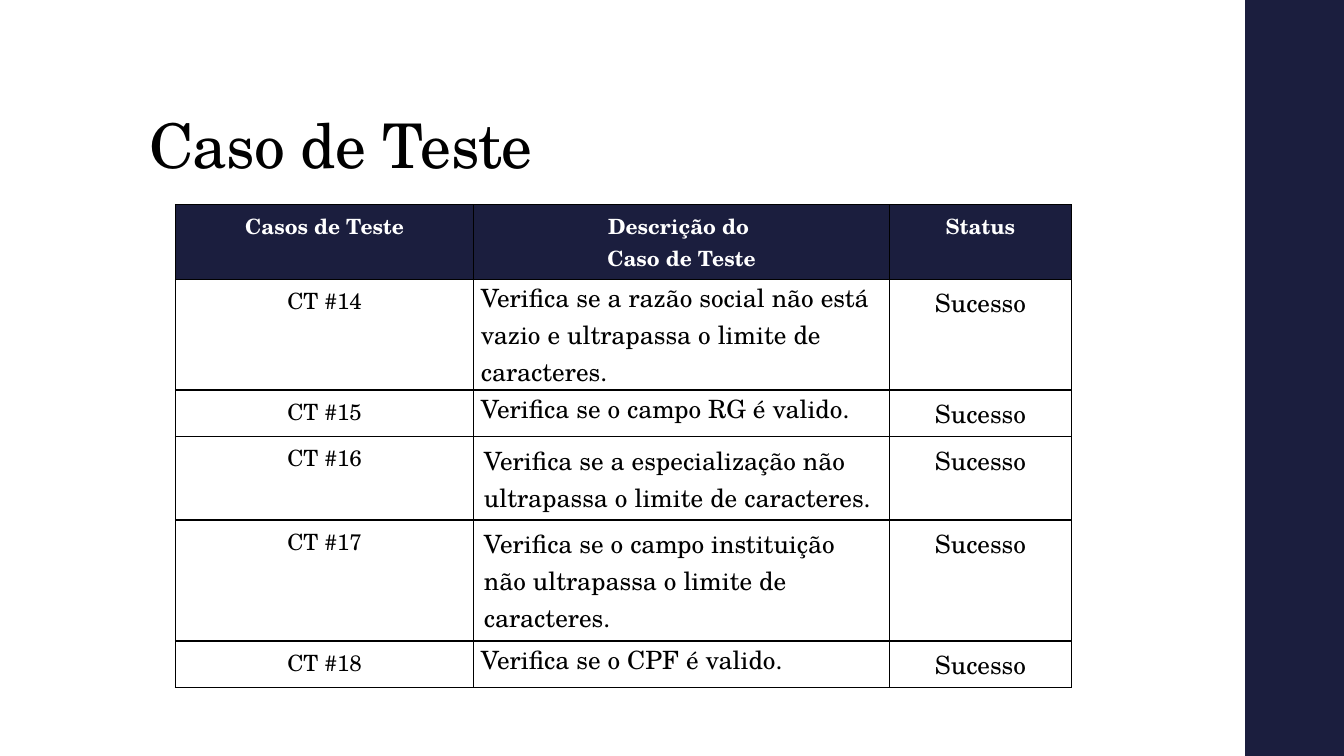
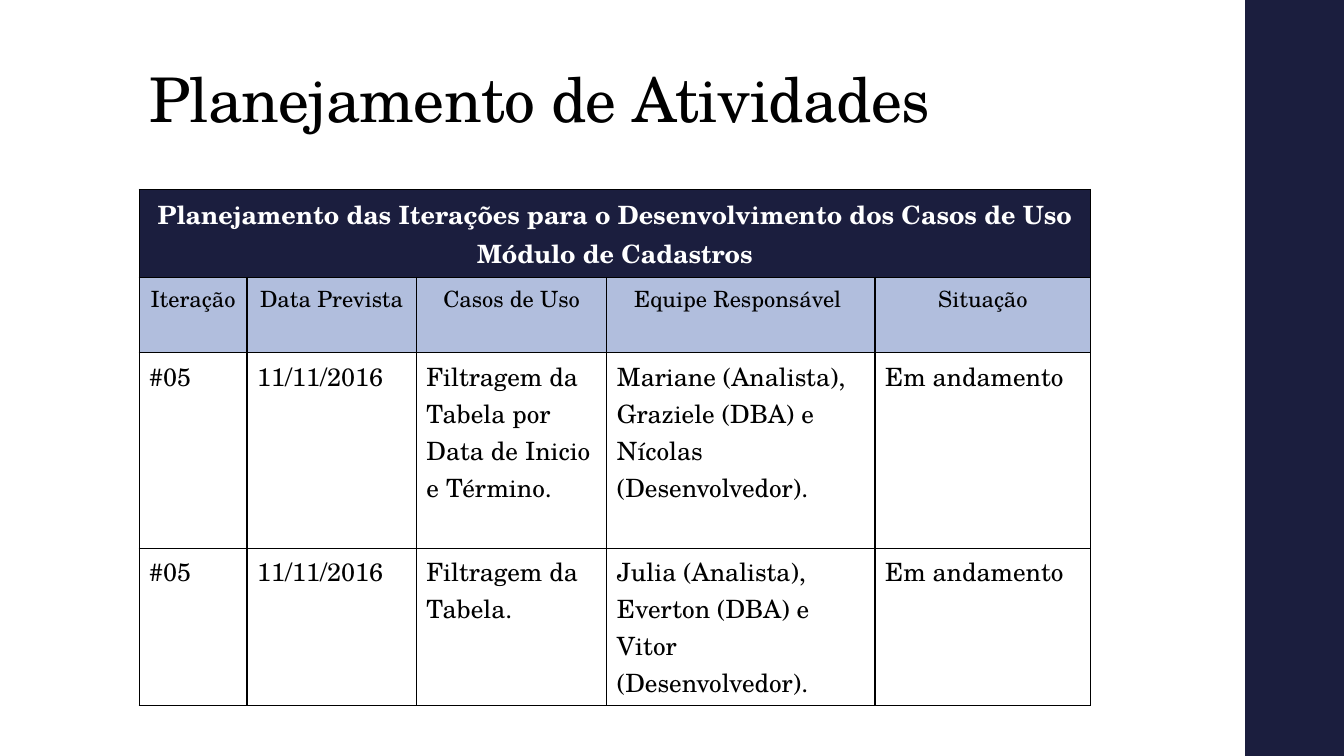
import pptx
import pptx.dml.color
import pptx.enum.shapes
import pptx.enum.text
import pptx.oxml
import pptx.oxml.ns
import pptx.util

Inches, Pt = pptx.util.Inches, pptx.util.Pt
ALIGN = pptx.enum.text.PP_ALIGN
FONT = "TeX Gyre Schola"
COLORS = {"navy": "1B1E3E", "light": "B1BEDD", "white": "FFFFFF", "black": "000000"}
SLIDE_W, SLIDE_H, BAND_X = 13.33, 7.5, 12.35

# Content
TEST_HEADER = ["Casos de Teste", "Descrição do \nCaso de Teste", "Status"]
# Number, description, whether the description sits tight in its cell
TESTS = [
    (14, "Verifica se a razão social não está vazio e ultrapassa o limite de caracteres.", True),
    (15, "Verifica se o campo RG é valido.", True),
    (16, "Verifica se a especialização não ultrapassa o limite de caracteres.", False),
    (17, "Verifica se o campo instituição não ultrapassa o limite de caracteres.", False),
    (18, "Verifica se o CPF é valido.", True),
]
PLAN_TITLE = ("Planejamento das Iterações para o Desenvolvimento dos Casos de Uso\n"
              "Módulo de Cadastros")
PLAN_HEADER = ["Iteração", "Data Prevista", "Casos de Uso", "Equipe Responsável ", "Situação"]
PLAN = [
    ["#05", "11/11/2016", "Filtragem da Tabela por Data de Inicio e Término.",
     "Mariane (Analista), Graziele (DBA) e Nícolas (Desenvolvedor).", "Em andamento"],
    ["#05", "11/11/2016", "Filtragem da Tabela.",
     "Julia (Analista), Everton (DBA) e Vitor (Desenvolvedor).", "Em andamento"],
]


def rgb(name):
    return pptx.dml.color.RGBColor.from_string(COLORS[name])


def write(tf, text, size=18, color="black", bold=False, align=ALIGN.LEFT,
          line_spacing=None, tracking=None):
    """Write text into a frame, one paragraph per line."""
    tf.word_wrap = True
    for i, line in enumerate(text.split("\n")):
        p = tf.add_paragraph() if i else tf.paragraphs[0]
        p.alignment = align
        if line_spacing:
            p.line_spacing = line_spacing
        r = p.add_run()
        r.text = line
        r.font.name, r.font.size, r.font.bold = FONT, Pt(size), bold
        r.font.color.rgb = rgb(color)
        if tracking:
            r.font._element.set("spc", str(int(tracking * 100)))


def add_borders(cell):
    tcPr = cell._tc.get_or_add_tcPr()
    for i, side in enumerate(("lnL", "lnR", "lnT", "lnB")):
        tcPr.insert(i, pptx.oxml.parse_xml(
            f'<a:{side} {pptx.oxml.ns.nsdecls("a")} w="{Pt(1)}"><a:solidFill>'
            f'<a:srgbClr val="{COLORS["black"]}"/></a:solidFill></a:{side}>'))


def fill_cell(cell, text, fill="white", tight=False, **fmt):
    cell.fill.solid()
    cell.fill.fore_color.rgb = rgb(fill)
    if tight:
        cell.margin_left = cell.margin_right = Inches(0.07)
        cell.margin_top = cell.margin_bottom = 0
    write(cell.text_frame, text, **fmt)


def add_table(slide, left, top, cols, rows):
    """Add a bordered table with the given column widths and row heights."""
    table = slide.shapes.add_table(len(rows), len(cols), Inches(left), Inches(top),
                                   Inches(sum(cols)), Inches(sum(rows))).table
    table.horz_banding = False
    for col, width in zip(table.columns, cols):
        col.width = Inches(width)
    for row, height in zip(table.rows, rows):
        row.height = Inches(height)
    for cell in table.iter_cells():
        add_borders(cell)
    return table


def add_slide(prs, title, title_height):
    """Add a slide with the side band and the title."""
    slide = prs.slides.add_slide(prs.slide_layouts[6])
    band = slide.shapes.add_shape(pptx.enum.shapes.MSO_SHAPE.RECTANGLE, Inches(BAND_X), 0,
                                  Inches(SLIDE_W - BAND_X), Inches(SLIDE_H))
    band.shadow.inherit = False
    band.fill.solid()
    band.fill.fore_color.rgb = rgb("navy")
    band.line.fill.background()
    tf = slide.shapes.add_textbox(Inches(1.38), Inches(0.4), Inches(10.6),
                                  Inches(title_height)).text_frame
    tf.vertical_anchor = pptx.enum.text.MSO_ANCHOR.BOTTOM
    write(tf, title, size=44, line_spacing=0.9, tracking=-0.5)
    return slide


def build_tests(prs):
    slide = add_slide(prs, "Caso de Teste", 1.45)
    table = add_table(slide, 1.74, 2.03, [2.96, 4.12, 1.81],
                      [0.74, 1.1, 0.46, 0.83, 1.2, 0.46])
    for c, text in enumerate(TEST_HEADER):
        fill_cell(table.cell(0, c), text, fill="navy", size=15, color="white",
                  bold=True, align=ALIGN.CENTER)
    for r, (number, description, tight) in enumerate(TESTS, 1):
        fill_cell(table.cell(r, 0), f"CT #{number}", size=16, align=ALIGN.CENTER)
        fill_cell(table.cell(r, 1), description, tight=tight)
        fill_cell(table.cell(r, 2), "Sucesso", align=ALIGN.CENTER)


def build_plan(prs):
    slide = add_slide(prs, "Planejamento de Atividades", 1)
    table = add_table(slide, 1.38, 1.88, [1.07, 1.68, 1.89, 2.66, 2.14],
                      [0.87, 0.75, 1.94, 1.56])
    table.cell(0, 0).merge(table.cell(0, len(PLAN_HEADER) - 1))
    fill_cell(table.cell(0, 0), PLAN_TITLE, fill="navy", color="white", bold=True,
              align=ALIGN.CENTER)
    for c, text in enumerate(PLAN_HEADER):
        fill_cell(table.cell(1, c), text, fill="light", size=16, align=ALIGN.CENTER)
    for r, row in enumerate(PLAN, 2):
        for c, text in enumerate(row):
            fill_cell(table.cell(r, c), text)


def main():
    prs = pptx.Presentation()
    prs.slide_width, prs.slide_height = Inches(SLIDE_W), Inches(SLIDE_H)
    build_tests(prs)
    build_plan(prs)
    prs.save("out.pptx")


if __name__ == "__main__":
    main()
